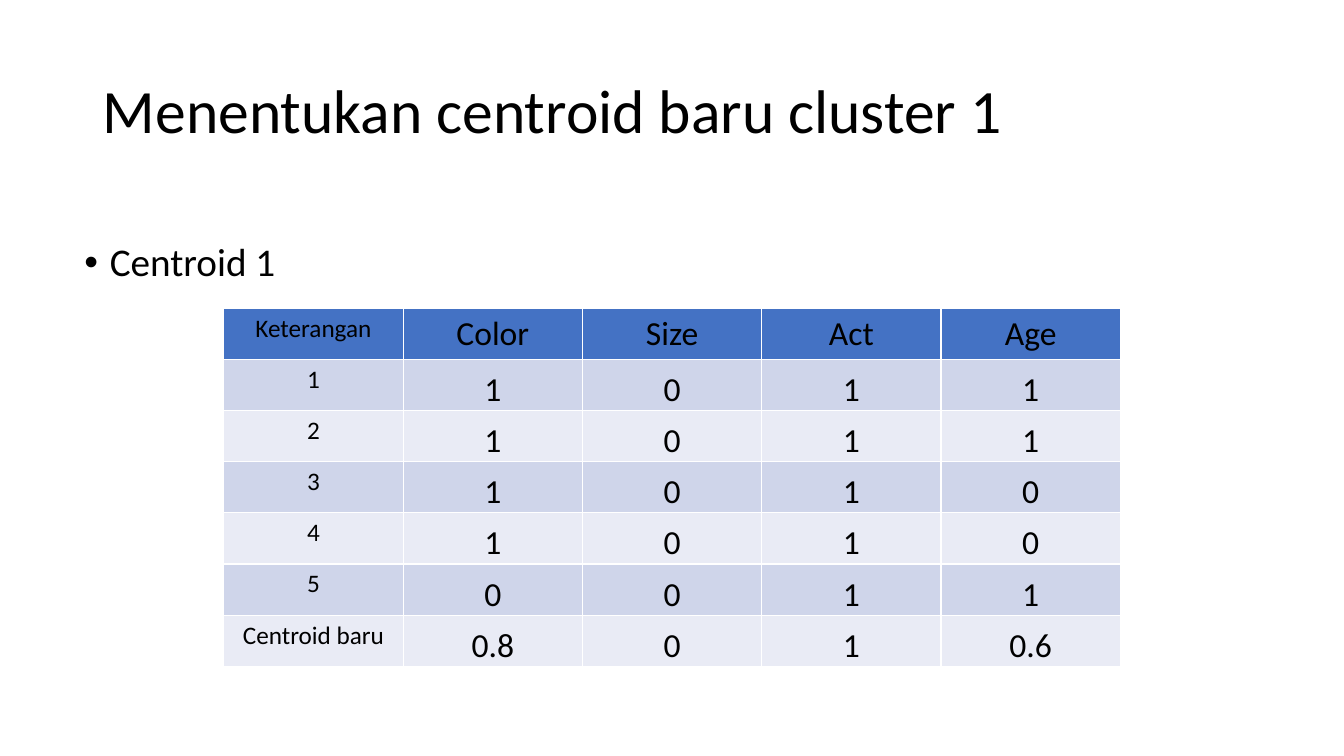
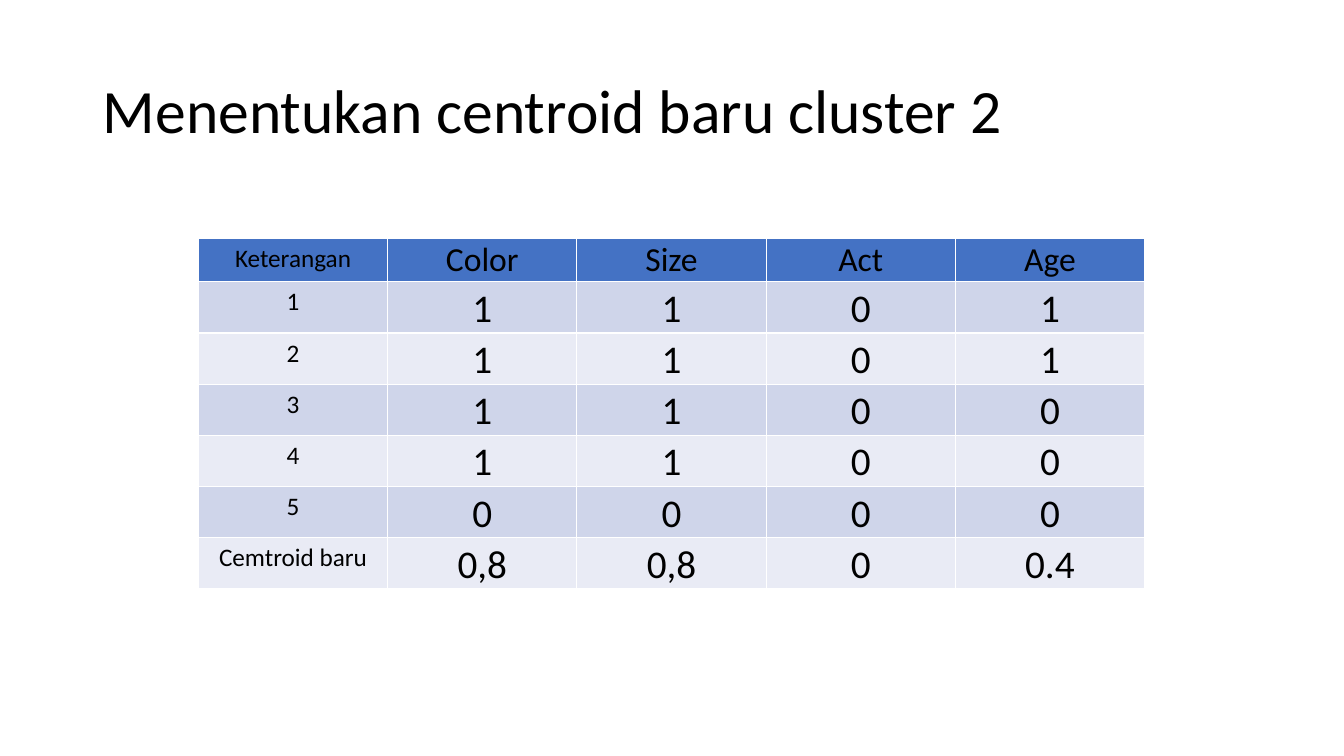
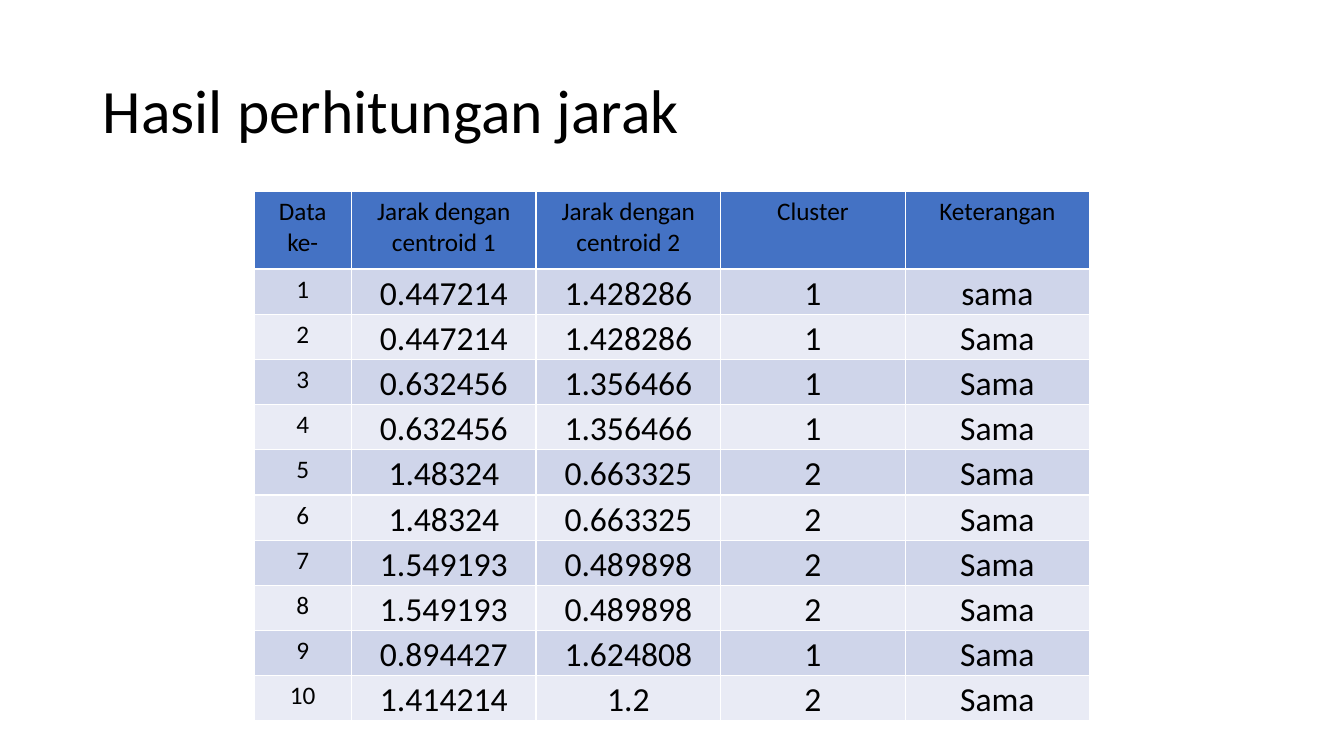
from lxml import etree
from pptx import Presentation
from pptx.dml.color import RGBColor
from pptx.enum.text import MSO_ANCHOR, MSO_AUTO_SIZE, PP_ALIGN
from pptx.oxml.ns import qn
from pptx.util import Cm, Pt

LEFT, CENTER = PP_ALIGN.LEFT, PP_ALIGN.CENTER
TOP, MIDDLE, BOTTOM = MSO_ANCHOR.TOP, MSO_ANCHOR.MIDDLE, MSO_ANCHOR.BOTTOM
NO_FIT = MSO_AUTO_SIZE.NONE

FONT = "Calibri"
COLORS = {"text": "000000", "header": "4472C4", "odd": "CFD5EA", "even": "E9EBF5"}
TITLE_AREA = (2.34, 1.02, 29.21, 3.68)
BULLET_AREA = (1.88, 6, 11.51, 10.77)
BULLET_INDENT = Cm(0.64)
LABEL_SIZE = 18
TIGHT_MARGINS = {
    "margin_left": Cm(0.02),
    "margin_right": Cm(0.02),
    "margin_top": Cm(0.02),
    "margin_bottom": 0,
}

SLIDES = [
    {
        "title": "Menentukan centroid baru cluster 1",
        "bullet": "Centroid 1",
        "corner": (5.64, 7.76),
        "widths": [4.52] * 5,
        "header_height": 1.29,
        "row_height": 1.29,
        "header_size": 24,
        "value_size": 24,
        "tight_header": True,
        "rows": [
            ("Keterangan", "Color", "Size", "Act", "Age"),
            ("1", "1", "0", "1", "1"),
            ("2", "1", "0", "1", "1"),
            ("3", "1", "0", "1", "0"),
            ("4", "1", "0", "1", "0"),
            ("5", "0", "0", "1", "1"),
            ("Centroid baru", "0.8", "0", "1", "0.6"),
        ],
    },
    {
        "title": "Menentukan centroid baru cluster 2",
        "corner": (5, 6),
        "widths": [4.77] * 5,
        "header_height": 1.1,
        "row_height": 1.29,
        "header_size": 24,
        "value_size": 28,
        "tight_header": True,
        "rows": [
            ("Keterangan", "Color", "Size", "Act", "Age"),
            ("1", "1", "1", "0", "1"),
            ("2", "1", "1", "0", "1"),
            ("3", "1", "1", "0", "0"),
            ("4", "1", "1", "0", "0"),
            ("5", "0", "0", "0", "0"),
            ("Cemtroid baru", "0,8", "0,8", "0", "0.4"),
        ],
    },
    {
        "title": "Hasil perhitungan jarak",
        "corner": (6.4, 4.83),
        "widths": [2.46] + [4.65] * 4,
        "header_height": 1.95,
        "row_height": 1.14,
        "header_size": 18,
        "value_size": 24,
        "tight_header": False,
        "rows": [
            ("Data ke-", "Jarak dengan centroid 1", "Jarak dengan centroid 2",
             "Cluster", "Keterangan"),
            ("1", "0.447214", "1.428286", "1", "sama"),
            ("2", "0.447214", "1.428286", "1", "Sama"),
            ("3", "0.632456", "1.356466", "1", "Sama"),
            ("4", "0.632456", "1.356466", "1", "Sama"),
            ("5", "1.48324", "0.663325", "2", "Sama"),
            ("6", "1.48324", "0.663325", "2", "Sama"),
            ("7", "1.549193", "0.489898", "2", "Sama"),
            ("8", "1.549193", "0.489898", "2", "Sama"),
            ("9", "0.894427", "1.624808", "1", "Sama"),
            ("10", "1.414214", "1.2", "2", "Sama"),
        ],
    },
]


def set_all(target, values):
    for name, value in values.items():
        setattr(target, name, value)


def write(frame, text, size, align, spacing=1.0):
    para = frame.paragraphs[0]
    span = para.add_run()
    span.text = text
    set_all(para, {"alignment": align, "line_spacing": spacing})
    set_all(span.font, {"name": FONT, "size": Pt(size), "bold": False})
    span.font.color.rgb = RGBColor.from_string(COLORS["text"])
    return para


def add_title(page, text):
    title = page.shapes.title
    set_all(title, dict(zip(("left", "top", "width", "height"), map(Cm, TITLE_AREA))))
    frame = title.text_frame
    set_all(frame, {"auto_size": NO_FIT, "vertical_anchor": MIDDLE, "word_wrap": True})
    write(frame, text, 44, LEFT, 0.9)


def add_bullet(page, text):
    frame = page.shapes.add_textbox(*map(Cm, BULLET_AREA)).text_frame
    frame.word_wrap = True
    para = write(frame, text, 28, LEFT, 0.9)
    properties = para._p.get_or_add_pPr()
    properties.set("marL", str(BULLET_INDENT))
    properties.set("indent", str(-BULLET_INDENT))
    etree.SubElement(properties, qn("a:buFont")).set("typeface", "Arial")
    etree.SubElement(properties, qn("a:buChar")).set("char", "•")


def fill_cell(cell, content, row, column):
    header, label = row == 0, column == 0
    band = "header" if header else "odd" if row % 2 else "even"
    cell.fill.solid()
    cell.fill.fore_color.rgb = RGBColor.from_string(COLORS[band])
    size = LABEL_SIZE if label else content["header_size" if header else "value_size"]
    if label or (header and not content["tight_header"]):
        cell.vertical_anchor = TOP
    else:
        set_all(cell, TIGHT_MARGINS)
        cell.vertical_anchor = MIDDLE if header else BOTTOM
    write(cell.text_frame, content["rows"][row][column], size, CENTER)


def add_data_table(page, content):
    rows, widths = content["rows"], content["widths"]
    heights = [content["header_height"]] + [content["row_height"]] * (len(rows) - 1)
    area = (*content["corner"], sum(widths), sum(heights))
    table = page.shapes.add_table(len(rows), len(widths), *map(Cm, area)).table
    for column, width in zip(table.columns, widths):
        column.width = Cm(width)
    for row, height in zip(table.rows, heights):
        row.height = Cm(height)
    for row in range(len(rows)):
        for column in range(len(widths)):
            fill_cell(table.cell(row, column), content, row, column)


def main():
    deck = Presentation()
    set_all(deck, {"slide_width": Cm(33.87), "slide_height": Cm(19.05)})
    title_only = deck.slide_layouts.get_by_name("Title Only")
    for content in SLIDES:
        page = deck.slides.add_slide(title_only)
        add_title(page, content["title"])
        if "bullet" in content:
            add_bullet(page, content["bullet"])
        add_data_table(page, content)
    deck.save("out.pptx")


if __name__ == "__main__":
    main()
